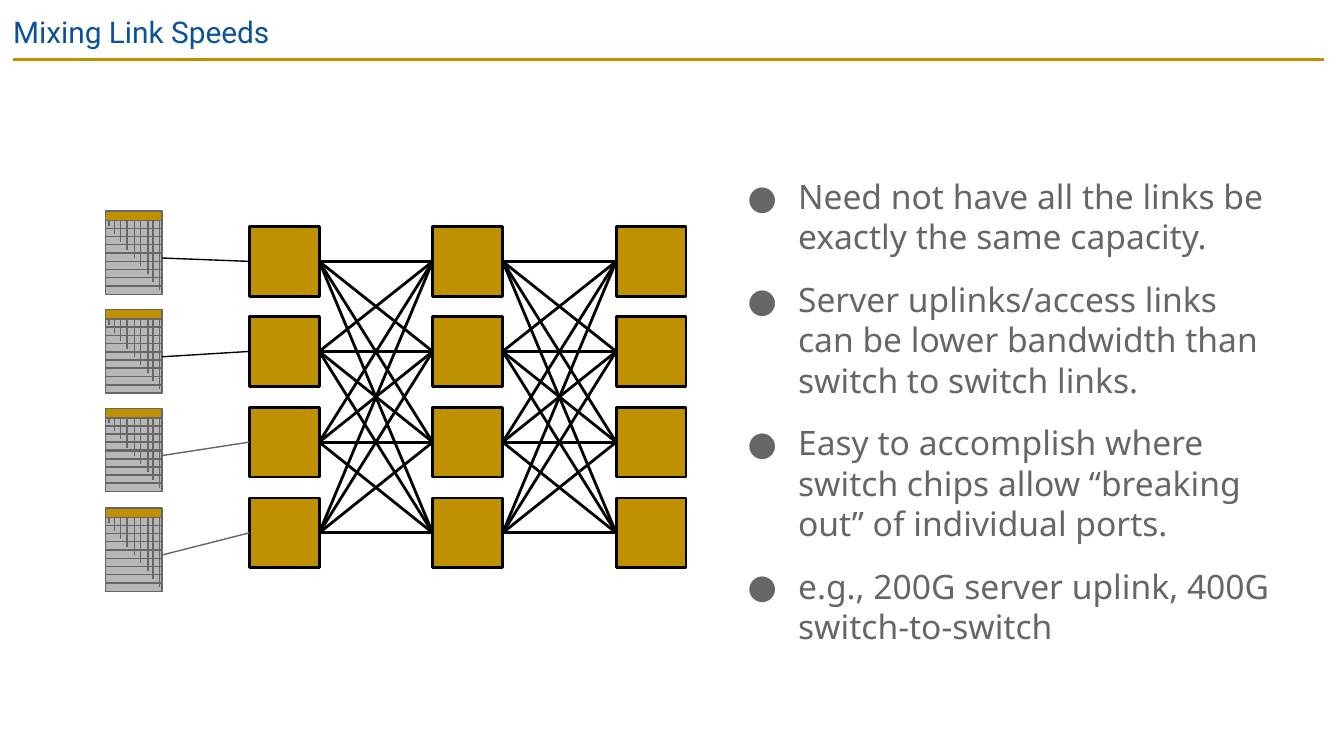
from itertools import product

from lxml import etree
from pptx import Presentation, util as u
from pptx.dml.color import RGBColor
from pptx.enum import shapes, text
from pptx.oxml.ns import qn

GOLD, BLACK, GREY, SILVER, BLUE = "BF9000", "000000", "666666", "B7B7B7", "0B5394"
SWITCH, SERVER_X, SERVER_W = 104, 157, 84
SWITCH_XS = [371 + 273 * i for i in range(3)]
SWITCH_YS = [337 + 404 * i // 3 for i in range(4)]
SERVER_YS = [314 + 442 * i // 3 for i in range(4)]
CABLE_XS = (162, 170, 179, 189, 200, 209, 220, 228, 237)
POINTS = (
    "Need not have all the links be exactly the same capacity.",
    "Server uplinks/access links can be lower bandwidth than switch to switch links.",
    "Easy to accomplish where switch chips allow “breaking out” of individual ports.",
    "e.g., 200G server uplink, 400G switch-to-switch",
)


def px(n):
    return u.Emu(n * 4572)


def rgb(value):
    return RGBColor.from_string(value)


def assign(obj, values):
    for name, value in values.items():
        setattr(obj, name, value)


class Deck:
    """Holds the style and the current slide, and draws each kind of element."""

    title = {"name": "Roboto", "size": u.Pt(16)}
    body = {"name": "Noto Sans", "size": u.Pt(18)}
    frame = {"word_wrap": True, "vertical_anchor": text.MSO_ANCHOR.TOP}
    margins = {f"margin_{side}": px(20) for side in ("left", "top", "right", "bottom")}

    def __init__(self, width, height):
        self.prs = Presentation()
        assign(self.prs, {"slide_width": px(width), "slide_height": px(height)})
        self.s = self.prs.slides.add_slide(self.prs.slide_layouts[6])
        self.shapes = self.s.shapes

    def rect(self, x, y, w, h, fill, line, weight):
        sp = self.shapes.add_shape(shapes.MSO_SHAPE.RECTANGLE, *map(px, (x, y, w, h)))
        sp.shadow.inherit = False
        sp.fill.solid()
        sp.fill.fore_color.rgb = rgb(fill)
        sp.line.color.rgb = rgb(line)
        sp.line.width = u.Pt(weight)

    def line(self, x1, y1, x2, y2, color, weight):
        cx = self.shapes.add_connector(
            shapes.MSO_CONNECTOR.STRAIGHT, *map(px, (x1, y1, x2, y2)))
        cx.line.color.rgb = rgb(color)
        cx.line.width = u.Pt(weight)
        etree.SubElement(cx._element.spPr, qn("a:effectLst"))

    def text(self, x, y, w, h, paragraphs, font, color, bullet=None):
        tf = self.shapes.add_textbox(*map(px, (x, y, w, h))).text_frame
        assign(tf, {**self.frame, **self.margins})
        for i, words in enumerate(paragraphs):
            p = tf.add_paragraph() if i else tf.paragraphs[0]
            if bullet:
                p.space_before = u.Pt(12 if i else 0)
                self.bullet(p, bullet, font, color)
            r = p.add_run()
            r.text = words
            assign(r.font, font)
            r.font.color.rgb = rgb(color)

    def bullet(self, p, char, font, color):
        pPr = p._p.get_or_add_pPr()
        pPr.set("marL", str(px(100)))
        pPr.set("indent", str(px(-75)))
        etree.SubElement(etree.SubElement(pPr, qn("a:buClr")), qn("a:srgbClr"), val=color)
        etree.SubElement(pPr, qn("a:buFont"), typeface=font["name"])
        etree.SubElement(pPr, qn("a:buChar"), char=char)

    def server(self, y):
        self.shapes = self.s.shapes.add_group_shape().shapes
        for i in range(len(CABLE_XS)):
            self.rect(SERVER_X, y + 14 + 49 * i // 4, SERVER_W, 12, SILVER, GREY, 0.75)
        self.rect(SERVER_X, y, SERVER_W, 14, GOLD, GREY, 0.75)
        for i, x in enumerate(CABLE_XS):
            self.line(x, y + 15, x, y + 22 + 12 * i, GREY, 0.75)
        self.shapes = self.s.shapes


def main():
    deck = Deck(2000, 1125)
    deck.line(20, 89, 1970, 89, GOLD, 1.5)
    deck.text(0, 0, 2000, 86, ["Mixing Link Speeds"], deck.title, BLUE)
    for x, y in product(SWITCH_XS, SWITCH_YS):
        deck.rect(x, y, SWITCH, SWITCH, GOLD, BLACK, 1.5)
    ports = [y + SWITCH // 2 for y in SWITCH_YS]
    for left, right in zip(SWITCH_XS, SWITCH_XS[1:]):
        for start, end in product(ports, ports):
            deck.line(left + SWITCH, start, right, end, BLACK, 1.5)
    deck.text(1068, 242, 854, 748, POINTS, deck.body, GREY, "●")
    for y in SERVER_YS:
        deck.server(y)
    for port, y, color in zip(ports, SERVER_YS, (BLACK, BLACK, GREY, GREY)):
        deck.line(SWITCH_XS[0], port, SERVER_X + SERVER_W, y + 70, color, 0.75)
    deck.prs.save("out.pptx")


if __name__ == "__main__":
    main()
